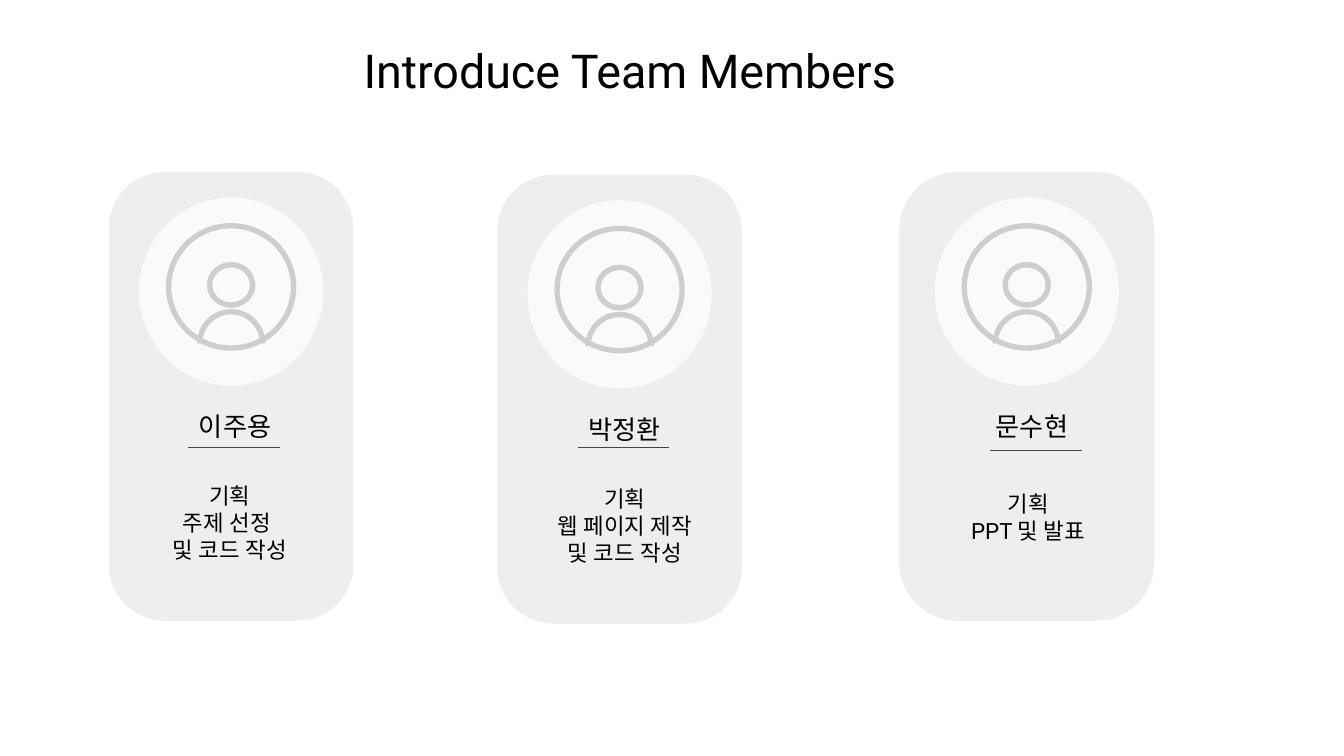
from lxml.etree import SubElement
from pptx import Presentation
from pptx.dml.color import RGBColor as Rgb
from pptx.enum.shapes import MSO_CONNECTOR as Connector, MSO_SHAPE as Shape
from pptx.enum.text import MSO_ANCHOR as Anchor, MSO_AUTO_SIZE as AutoSize, PP_ALIGN as Align
from pptx.oxml.ns import qn
from pptx.util import Inches, Pt

TITLE = "Introduce Team Members"
MEMBERS = [
    {"name": "이주용", "roles": ["기획", "주제 선정 ", "및 코드 작성"],
     "card": (0.81, 1.28, 1.82), "name_left": 0.92,
     "role_left": 0.88, "role_height": 0.92, "rule": (1.40, 3.33)},
    {"name": "박정환", "roles": ["기획", "웹 페이지 제작", "및 코드 작성"],
     "card": (3.70, 1.30, 1.82), "name_left": 3.82,
     "role_left": 3.82, "role_height": 0.92, "rule": (4.30, 3.33)},
    {"name": "문수현", "roles": ["기획", "PPT 및 발표"],
     "card": (6.69, 1.28, 1.90), "name_left": 6.85,
     "role_left": 6.82, "role_height": 0.84, "rule": (7.37, 3.35)},
]

THEME = {
    "font": "Roboto", "text": "000000", "card": "EEEEEE", "badge": "FAFAFA",
    "icon": "CECECE", "rule": "434343",
    "title_size": 25, "name_size": 14, "role_size": 12, "rule_width": 0.75,
}
CARD_HEIGHT = 3.34
TEXT_WIDTH = 1.66
RULE_LENGTH = 0.68
STROKE = 0.04
BADGE_PARTS = [
    (Shape.OVAL, "badge", 0.19, 1.37, 1.40, {}),
    (Shape.DONUT, "icon", 0.38, 0.97, 0.95, {0: STROKE / 0.95}),
    (Shape.DONUT, "icon", 0.67, 0.36, 0.34, {0: STROKE / 0.34}),
    (Shape.BLOCK_ARC, "icon", 1.02, 0.51, 0.51, {2: STROKE / 0.51}),
]


def color(key):
    return Rgb.from_string(THEME[key])


def add_filled(page, kind, place, fill, adjustments):
    shape = page.shapes.add_shape(kind, *map(Inches, place))
    shape.shadow.inherit = False
    shape.fill.solid()
    shape.fill.fore_color.rgb = color(fill)
    shape.line.fill.background()
    for index, value in adjustments.items():
        shape.adjustments[index] = value


def write(box, place, lines, size):
    for side, value in zip(("left", "top", "width", "height"), place):
        setattr(box, side, Inches(value))
    frame = box.text_frame
    frame_format = {"word_wrap": True, "auto_size": AutoSize.NONE,
                    "vertical_anchor": Anchor.MIDDLE}
    frame_format.update({f"margin_{side}": Inches(0.1)
                         for side in ("left", "right", "top", "bottom")})
    for key, value in frame_format.items():
        setattr(frame, key, value)
    for index, line in enumerate(lines):
        para = frame.paragraphs[0] if index == 0 else frame.add_paragraph()
        para.alignment = Align.CENTER
        span = para.add_run()
        span.text = line
        for key, value in {"name": THEME["font"], "size": Pt(THEME[size])}.items():
            setattr(span.font, key, value)
        span.font.color.rgb = color("text")
        for script in ("a:ea", "a:cs"):
            SubElement(span.font._element, qn(script), typeface=THEME["font"])


def add_text(page, place, lines, size):
    write(page.shapes.add_textbox(*map(Inches, place)), place, lines, size)


def add_rule(page, left, top):
    rule = page.shapes.add_connector(
        Connector.STRAIGHT, *map(Inches, (left, top, left + RULE_LENGTH, top)))
    rule.line.color.rgb = color("rule")
    rule.line.width = Pt(THEME["rule_width"])
    SubElement(rule.element.spPr, qn("a:effectLst"))


def add_member(page, member):
    left, top, width = member["card"]
    add_filled(page, Shape.ROUNDED_RECTANGLE, (left, top, width, CARD_HEIGHT),
               "card", {0: 0.23})
    for kind, fill, drop, part_width, part_height, adjustments in BADGE_PARTS:
        place = (left + (width - part_width) / 2, top + drop, part_width, part_height)
        add_filled(page, kind, place, fill, adjustments)
    add_text(page, (member["name_left"], top + 1.73, TEXT_WIDTH, 0.32),
             [member["name"]], "name_size")
    add_text(page, (member["role_left"], top + 2.15, TEXT_WIDTH, member["role_height"]),
             member["roles"], "role_size")
    add_rule(page, *member["rule"])


def main():
    deck = Presentation()
    deck.slide_width = Inches(10)
    deck.slide_height = deck.slide_width * 9 // 16
    page = deck.slides.add_slide(deck.slide_layouts[5])
    write(page.shapes.title, (0.46, 0.30, 8.45, 0.44), [TITLE], "title_size")
    for member in MEMBERS:
        add_member(page, member)
    deck.save("out.pptx")


if __name__ == "__main__":
    main()
